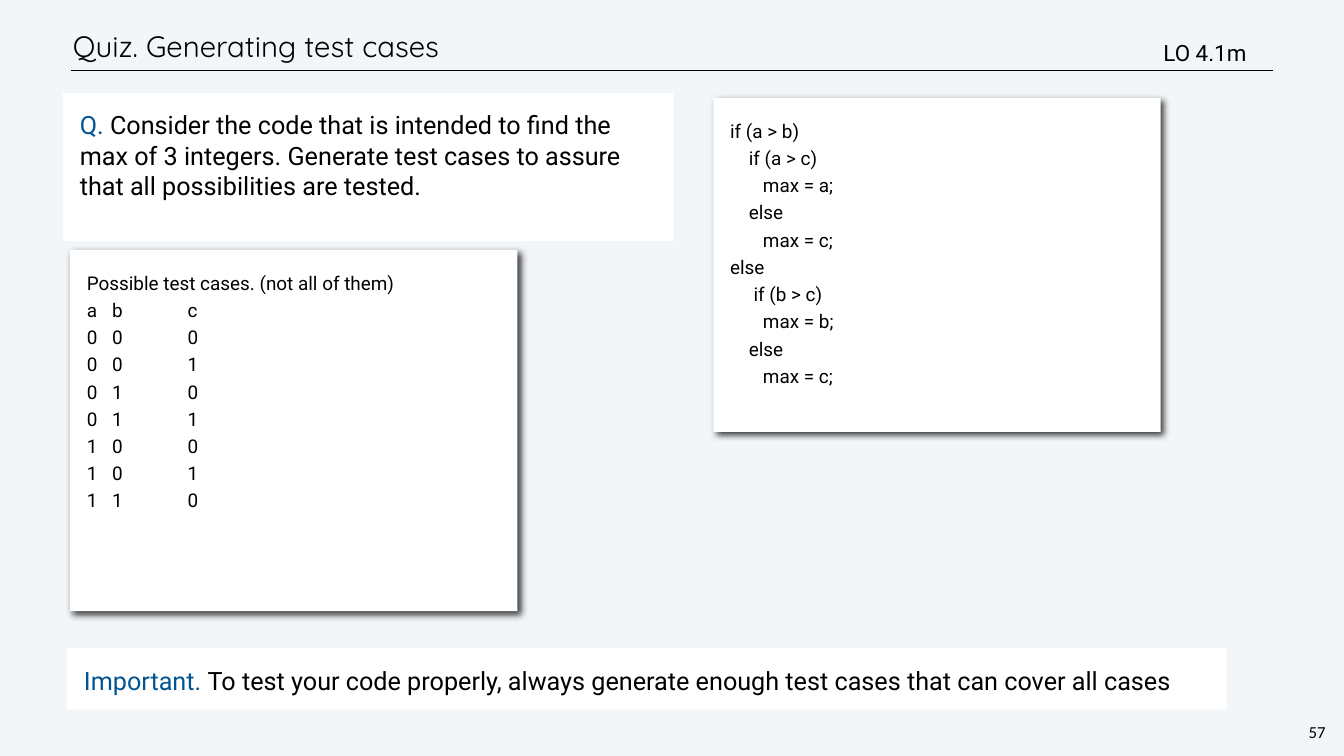
from dataclasses import dataclass
from itertools import product

from pptx import Presentation
from pptx.dml.color import RGBColor
from pptx.enum.shapes import MSO_CONNECTOR, MSO_SHAPE
from pptx.enum.text import MSO_ANCHOR, PP_ALIGN
from pptx.oxml.ns import qn
from pptx.util import Pt

STRAIGHT, RECTANGLE = MSO_CONNECTOR.STRAIGHT, MSO_SHAPE.RECTANGLE
TOP, MIDDLE = MSO_ANCHOR.TOP, MSO_ANCHOR.MIDDLE
LEFT, CENTER = PP_ALIGN.LEFT, PP_ALIGN.CENTER


@dataclass(frozen=True)
class Theme:
    """Colours, fonts and type sizes of the slide."""

    background: RGBColor = RGBColor(0xF3, 0xF6, 0xF9)
    card: RGBColor = RGBColor(0xFF, 0xFF, 0xFF)
    ink: RGBColor = RGBColor(0, 0, 0)
    accent: RGBColor = RGBColor(0, 0x54, 0x93)
    title_font: str = "Quicksand"
    body_font: str = "Roboto"
    number_font: str = "Calibri"
    title_size: int = 42
    callout_size: int = 36
    label_size: int = 32
    code_size: int = 27
    number_size: int = 24


def assign(target, values):
    """Set each attribute of the target from a dict of format values."""
    for name, value in values.items():
        setattr(target, name, value)


class SlideBuilder:
    """Draws styled elements on the current slide."""

    def __init__(self, slide, theme):
        """Keep the slide and theme, and paint the background."""
        self.slide, self.theme = slide, theme
        slide.background.fill.solid()
        slide.background.fill.fore_color.rgb = theme.background

    def place(self, shape, left, top, width, height):
        """Move and size a shape in points."""
        assign(shape, {"left": Pt(left), "top": Pt(top), "width": Pt(width), "height": Pt(height)})

    def fill_text(self, shape, lines, size, font=None, inset=4, anchor=TOP, wrap=True,
                  align=LEFT, spacing=None, tabs=()):
        """Fill a shape with lines, each a list of text and colour pairs."""
        frame = shape.text_frame
        margins = {f"margin_{side}": Pt(inset) for side in ("left", "top", "right", "bottom")}
        assign(frame, {"word_wrap": wrap, "vertical_anchor": anchor, **margins})
        for index, pieces in enumerate(lines):
            para = frame.add_paragraph() if index else frame.paragraphs[0]
            assign(para, {"alignment": align, "line_spacing": spacing})
            if tabs:
                properties = para._p.get_or_add_pPr()
                stops = properties.makeelement(qn("a:tabLst"), {})
                properties.append(stops)
                for position in tabs:
                    stop = {"pos": str(Pt(position)), "algn": "l"}
                    stops.append(stops.makeelement(qn("a:tab"), stop))
            for text, color in pieces:
                span = para.add_run()
                span.text = text
                assign(span.font, {"name": font or self.theme.body_font, "size": Pt(size)})
                span.font.color.rgb = color

    def title(self, text, *area):
        """Fill the title placeholder."""
        box = self.slide.shapes.title
        self.place(box, *area)
        self.fill_text(box, [[(text, self.theme.ink)]], self.theme.title_size,
                       font=self.theme.title_font, anchor=MIDDLE, spacing=Pt(50))

    def rule(self, left, top, right):
        """Draw a thin horizontal line."""
        line = self.slide.shapes.add_connector(STRAIGHT, Pt(left), Pt(top), Pt(right), Pt(top))
        line.line.color.rgb = self.theme.ink
        line.line.width = Pt(1)
        properties = line._element.spPr
        properties.append(properties.makeelement(qn("a:effectLst"), {}))

    def label(self, text, area, size, **style):
        """Add a single-line text box."""
        box = self.slide.shapes.add_textbox(*map(Pt, area))
        self.fill_text(box, [[(text, self.theme.ink)]], size, **style)

    def card(self, *area):
        """Add a plain white rectangle."""
        box = self.slide.shapes.add_shape(RECTANGLE, *map(Pt, area))
        box.fill.solid()
        box.fill.fore_color.rgb = self.theme.card
        box.line.fill.background()
        box.shadow.inherit = False
        return box

    def callout(self, lead, text, *area):
        """Add a card whose text opens with an accented lead."""
        line = [(lead, self.theme.accent), (text, self.theme.ink)]
        self.fill_text(self.card(*area), [line], self.theme.callout_size,
                       inset=24, spacing=Pt(43))

    def panel(self, lines, *area, tabs=()):
        """Add a shadowed card of code-sized lines."""
        box = self.card(*area)
        effects = box._element.spPr.find(qn("a:effectLst"))
        shadow = effects.makeelement(qn("a:outerShdw"), {
            "blurRad": str(Pt(10)), "dist": str(Pt(6)), "dir": "2700000", "rotWithShape": "0"})
        color = shadow.makeelement(qn("a:srgbClr"), {"val": str(self.theme.ink)})
        color.append(color.makeelement(qn("a:alpha"), {"val": "75000"}))
        shadow.append(color)
        effects.append(shadow)
        self.fill_text(box, [[(line, self.theme.ink)] for line in lines], self.theme.code_size,
                       inset=24, spacing=1.2, tabs=tabs)


CODE = """if (a > b)
    if (a > c)
       max = a;
    else
       max = c;
else
     if (b > c)
       max = b;
    else
       max = c;"""


def main():
    """Build and save the quiz slide."""
    deck = Presentation()
    assign(deck, {"slide_width": Pt(1920), "slide_height": Pt(1080)})
    theme = Theme()
    page = SlideBuilder(deck.slides.add_slide(deck.slide_layouts[5]), theme)

    page.rule(102, 101, 1819)
    page.title("Quiz. Generating test cases", 100, 30, 1629, 71)
    page.label("57", (1866, 1029, 31, 34), theme.number_size, font=theme.number_font,
               inset=3, wrap=False, align=CENTER, spacing=Pt(28))
    page.panel(CODE.splitlines(), 1019, 140, 639, 477)
    page.callout("Q. ", "Consider the code that is intended to find the max of 3 integers. "
                 "Generate test cases to assure that all possibilities are tested.",
                 90, 133, 872, 211)
    page.callout("Important. ", "To test your code properly, always generate enough test cases "
                 "that can cover all cases", 96, 926, 1656, 88)
    page.label("LO 4.1m", (1658, 52, 215, 47), theme.label_size, anchor=MIDDLE)

    cases = list(product("01", repeat=3))[:-1]
    rows = ["\t".join(row) for row in ["abc", *cases]]
    page.panel(["Possible test cases. (not all of them)", *rows],
               100, 357, 639, 516, tabs=(36, 144))
    deck.save("out.pptx")


if __name__ == "__main__":
    main()
